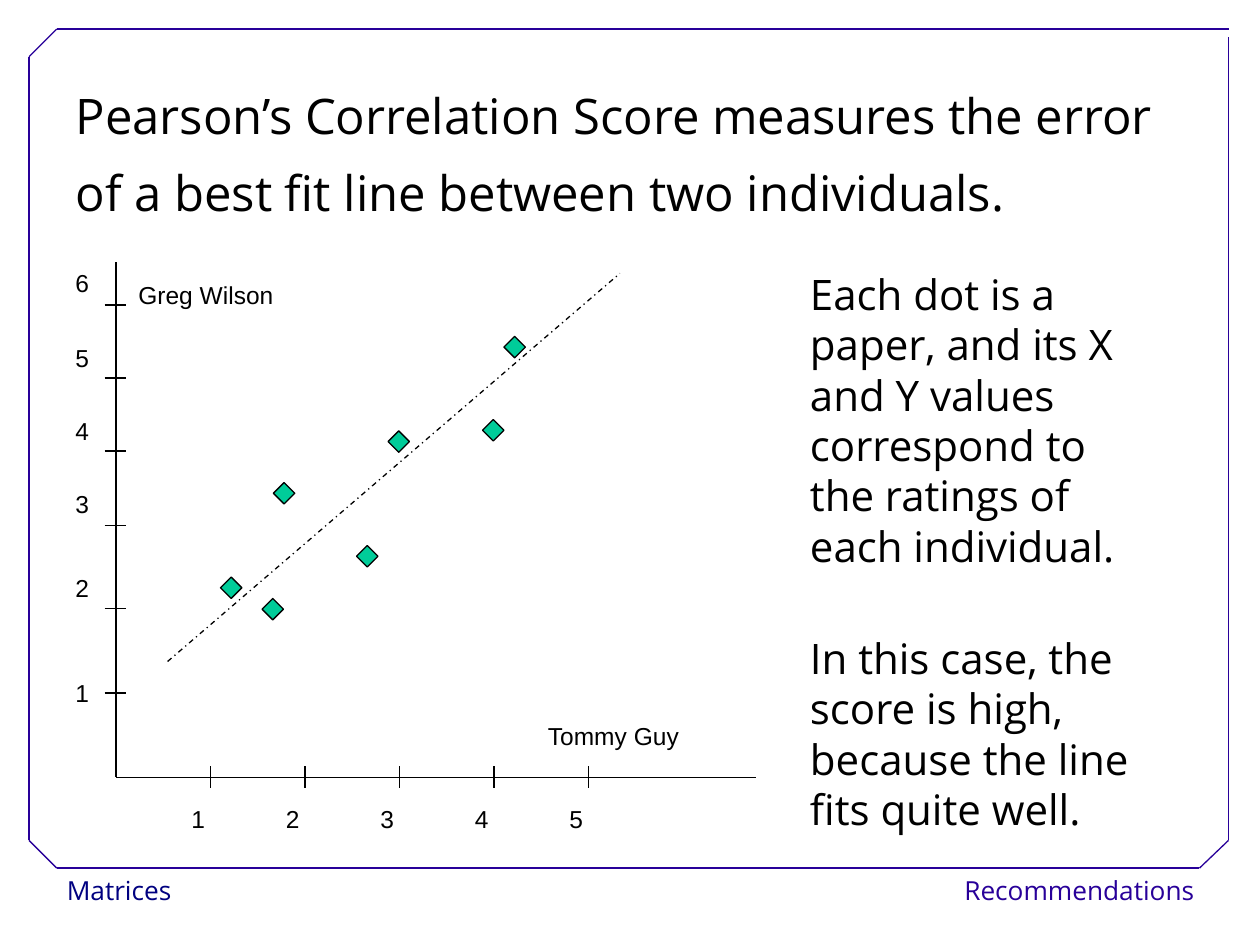
"""Build a slide that explains Pearson's correlation score with a scatter diagram."""
import pptx
import pptx.dml.color
import pptx.enum.dml
import pptx.enum.shapes
import pptx.enum.text
import pptx.oxml
import pptx.oxml.ns
import pptx.util

Inches = pptx.util.Inches
Pt = pptx.util.Pt
Align = pptx.enum.text.PP_ALIGN

COLORS = {
    "text": "000000",
    "navy": "000080",
    "frame": "280099",
    "marker": "00CC99",
    "paper": "FFFFFF",
}


class SlideBuilder:
    def __init__(self, presentation):
        self.slide = presentation.slides.add_slide(presentation.slide_layouts[5])
        self.body_font = "Open Sans"
        self.label_font = "Arial"
        self.line_width = Pt(0.75)

    def color(self, name):
        return pptx.dml.color.RGBColor.from_string(COLORS[name])

    def fill_text(self, shape, lines, size, font, color="text", align=Align.LEFT,
                  spacing=None, after=None, wrap=True):
        frame = shape.text_frame
        frame.text = "\n".join(lines)
        frame.word_wrap = wrap
        frame.auto_size = pptx.enum.text.MSO_AUTO_SIZE.NONE
        frame.vertical_anchor = pptx.enum.text.MSO_ANCHOR.TOP
        for paragraph in frame.paragraphs:
            paragraph.alignment = align
            if spacing:
                paragraph.line_spacing = spacing
            if after:
                paragraph.space_after = Pt(after)
            for run in paragraph.runs:
                run.font.size = Pt(size)
                run.font.name = font
                run.font.color.rgb = self.color(color)

    def title(self, lines, left, top, width, height):
        shape = self.slide.shapes.title
        shape.left, shape.top = Inches(left), Inches(top)
        shape.width, shape.height = Inches(width), Inches(height)
        self.fill_text(shape, lines, 28, self.body_font, spacing=0.93, after=12.9)

    def text(self, text, left, top, width, height=0.34, size=14, font=None):
        shape = self.slide.shapes.add_textbox(
            Inches(left), Inches(top), Inches(width), Inches(height))
        self.fill_text(shape, [text], size, font or self.label_font)

    def shape(self, kind, left, top, width, height, fill):
        shape = self.slide.shapes.add_shape(
            kind, Inches(left), Inches(top), Inches(width), Inches(height))
        shape.shadow.inherit = False
        shape.fill.solid()
        shape.fill.fore_color.rgb = self.color(fill)
        return shape

    def footer(self, text, left, width, color, align):
        shape = self.shape(pptx.enum.shapes.MSO_SHAPE.RECTANGLE,
                           left, 6.89, width, 0.37, "paper")
        shape.line.fill.background()
        frame = shape.text_frame
        frame.margin_left = frame.margin_right = Inches(0.09)
        frame.margin_top = frame.margin_bottom = Inches(0.04)
        self.fill_text(shape, [text], 15, self.body_font, color, align, 1.02,
                       wrap=False)

    def marker(self, left, top):
        shape = self.shape(pptx.enum.shapes.MSO_SHAPE.DIAMOND,
                           left, top, 0.17, 0.17, "marker")
        shape.line.color.rgb = self.color("text")
        shape.line.width = self.line_width

    def line(self, start, end, color="text", dash=None):
        connector = self.slide.shapes.add_connector(
            pptx.enum.shapes.MSO_CONNECTOR.STRAIGHT,
            *(Inches(value) for value in (*start, *end)))
        connector.line.color.rgb = self.color(color)
        connector.line.width = self.line_width
        if dash:
            connector.line.dash_style = dash
        properties = connector._element.spPr
        properties.append(pptx.oxml.parse_xml(
            "<a:effectLst %s/>" % pptx.oxml.ns.nsdecls("a")))


def main():
    presentation = pptx.Presentation()
    presentation.slide_width = Inches(10)
    presentation.slide_height = Inches(7.5)
    builder = SlideBuilder(presentation)

    builder.footer("Matrices", 0.44, 1.95, "navy", Align.LEFT)
    builder.footer("Recommendations", 8.3, 1.27, "frame", Align.RIGHT)
    frame_lines = [
        ((0.45, 6.89), (9.52, 6.89)),
        ((0.23, 6.67), (0.23, 0.45)),
        ((0.45, 0.23), (9.75, 0.23)),
        ((9.75, 6.67), (9.75, 0.29)),
        ((0.23, 0.45), (0.45, 0.23)),
        ((9.52, 6.89), (9.75, 6.67)),
        ((0.23, 6.67), (0.45, 6.89)),
    ]
    for start, end in frame_lines:
        builder.line(start, end, "frame")

    builder.title(["Pearson’s Correlation Score measures the error",
                   "of a best fit line between two individuals."],
                  0.5, 0.67, 9, 1.25)

    axis_x, axis_y = 0.92, 6.17
    builder.line((axis_x, 2.08), (axis_x, axis_y))
    builder.line((axis_x, axis_y), (6, axis_y))
    papers = [(1.75, 4.58), (2.83, 4.33), (3.08, 3.42), (3.83, 3.33),
              (4, 2.67), (2.08, 4.75), (2.17, 3.83)]
    for left, top in papers:
        builder.marker(left, top)
    builder.line((1.33, 5.25), (4.92, 2.17),
                 dash=pptx.enum.dml.MSO_LINE.DASH_DOT)

    for rating in range(1, 6):
        tick_x = axis_x + 0.75 * rating
        builder.line((tick_x, 6.08), (tick_x, 6.25))
        builder.text(str(rating), tick_x - 0.25, 6.33, 0.25)
    rating_rows = [(5.5, 5.33), (4.83, 4.5), (4.17, 3.83),
                   (3.58, 3.25), (3, 2.67), (2.42, 2.08)]
    for rating, (tick_y, label_top) in enumerate(rating_rows, 1):
        builder.line((0.83, tick_y), (1, tick_y))
        builder.text(str(rating), 0.5, label_top, 0.25)
    builder.text("Greg Wilson", 1, 2.17, 1.5)
    builder.text("Tommy Guy", 4.25, 5.67, 1.58)

    explanations = [
        ("Each dot is a paper, and its X and Y values correspond to "
         "the ratings of each individual.", 2.08, 2.5),
        ("In this case, the score is high, because the line fits quite well.",
         4.97, 1.7),
    ]
    for text, top, height in explanations:
        builder.text(text, 6.33, top, 2.92, height, 24, builder.body_font)

    presentation.save("out.pptx")


if __name__ == "__main__":
    main()
